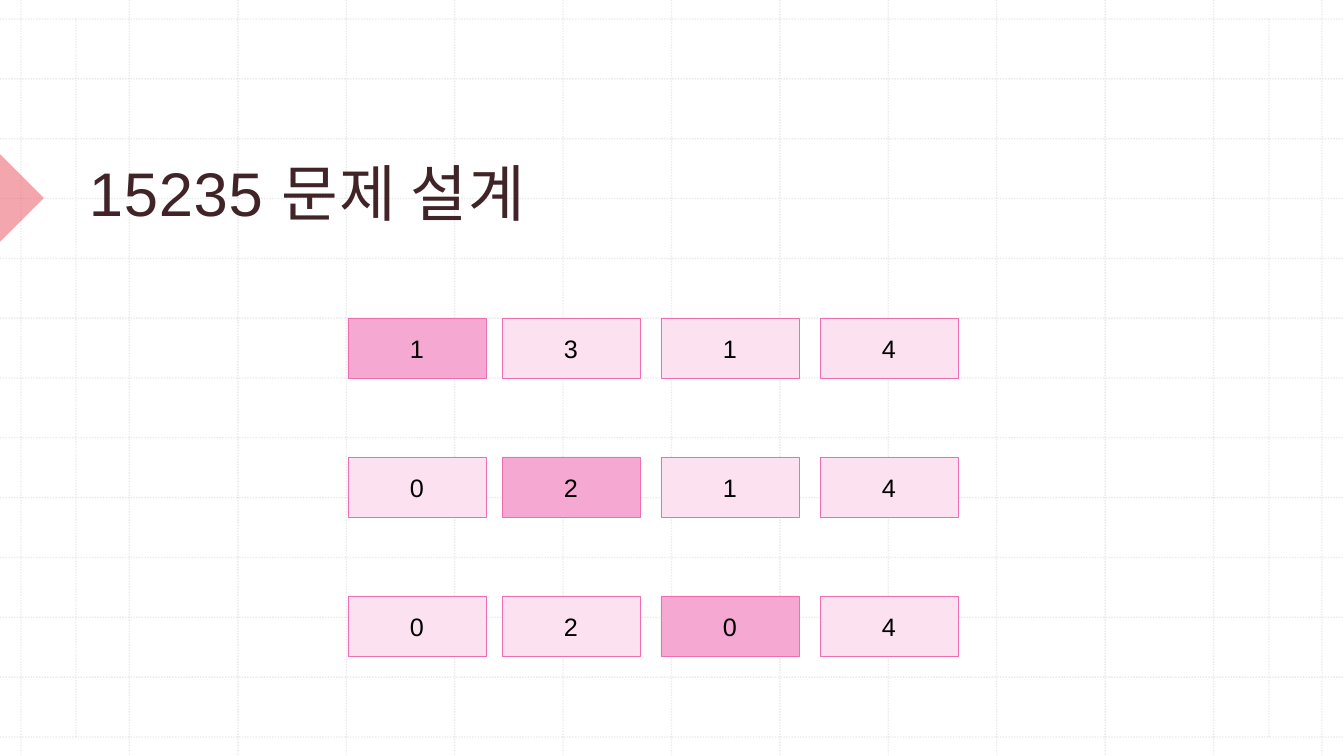
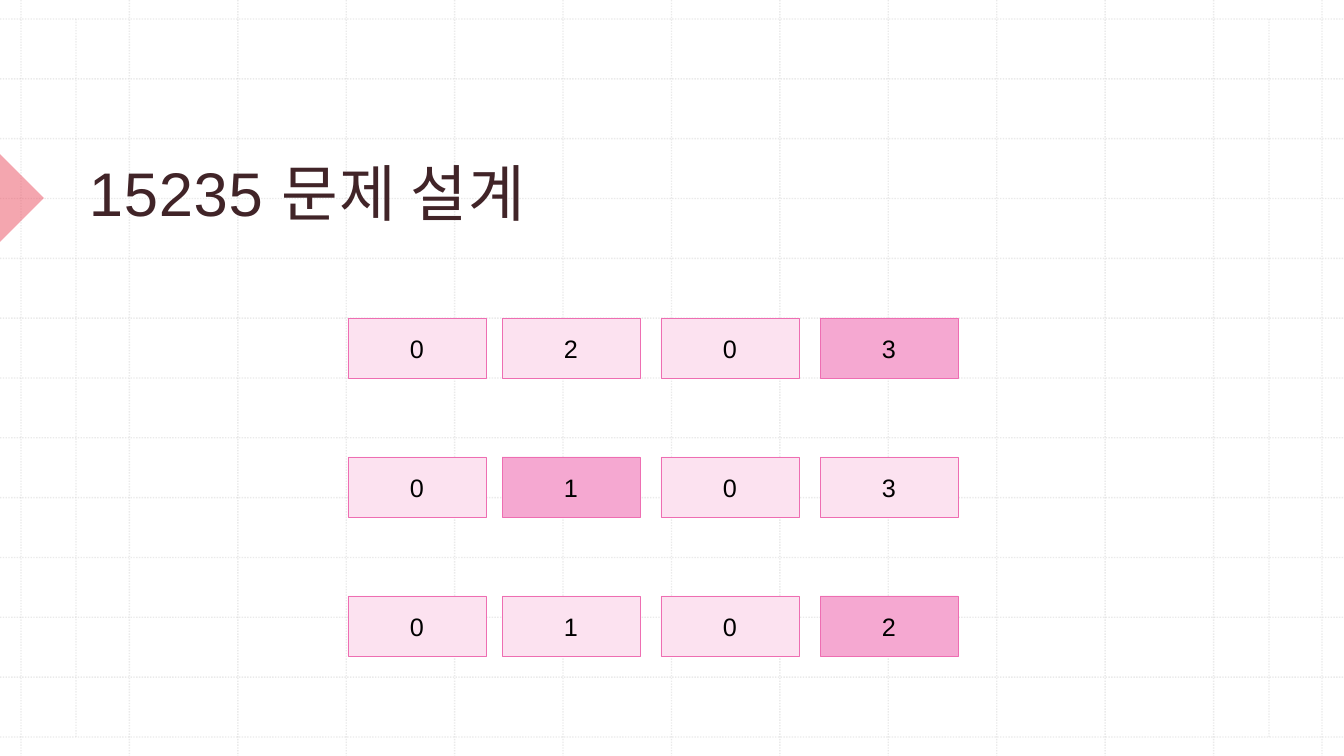
"""Build two slides that step through the design of problem 15235."""
from lxml import etree
from pptx import Presentation
from pptx import util as u
from pptx.dml.color import RGBColor
from pptx.enum import dml, shapes, text
from pptx.oxml.ns import qn

TITLE = "15235 문제 설계"
SLIDES = [
    [((1, 3, 1, 4), 0), ((0, 2, 1, 4), 1), ((0, 2, 0, 4), 2)],
    [((0, 2, 0, 3), 3), ((0, 1, 0, 3), 1), ((0, 1, 0, 2), 3)],
]

GRID = RGBColor(0xBC, 0xBC, 0xBC)
MARKER = RGBColor(0xEB, 0x4E, 0x60)
TITLE_COLOR = RGBColor(0x41, 0x24, 0x28)
CELL = RGBColor(0xFC, 0xE2, 0xF0)
ACTIVE_CELL = RGBColor(0xF5, 0xA8, 0xD1)
CELL_BORDER = RGBColor(0xEE, 0x6E, 0xB2)
BLACK = RGBColor(0, 0, 0)
FONT = "Arial"

WIDTH, HEIGHT = 1344, 756
GRID_LEFT, GRID_RIGHT, GRID_TOP, GRID_BOTTOM = 21, 1322, 19, 737
GRID_STEPS = 12
MARGIN_LINES = (76, 1269)
MARKER_BOX = (-31, 167, 62, 62)
TITLE_BOX = (77, 80, 1138, 159)
CELL_LEFTS = (348, 502, 661, 820)
CELL_TOP, ROW_PITCH = 318, 139
CELL_WIDTH, CELL_HEIGHT = 138, 60


def px(*lengths):
    return [u.Emu(round(length * u.Inches(1) / 100.8)) for length in lengths]


def set_opacity(color_parent, percent):
    color = color_parent.find(".//" + qn("a:srgbClr"))
    etree.SubElement(color, qn("a:alpha"), val=str(percent * 1000))


def add_grid_line(slide, *ends):
    connector = slide.shapes.add_connector(shapes.MSO_CONNECTOR.STRAIGHT, *px(*ends))
    connector.line.color.rgb = GRID
    connector.line.width = u.Pt(1)
    connector.line.dash_style = dml.MSO_LINE.ROUND_DOT
    properties = connector.element.spPr
    set_opacity(properties, 30)
    etree.SubElement(properties, qn("a:effectLst"))
    return connector


def add_marker(slide):
    marker = slide.shapes.add_shape(shapes.MSO_SHAPE.RIGHT_TRIANGLE, *px(*MARKER_BOX))
    marker.rotation = 225
    marker.shadow.inherit = False
    marker.fill.solid()
    marker.fill.fore_color.rgb = MARKER
    marker.line.fill.background()
    set_opacity(marker.element.spPr, 50)
    return marker


def add_background(slide):
    """Draw the shared grid and marker, then move them to the slide's layout."""
    lines = []
    for step in range(GRID_STEPS + 1):
        x = GRID_LEFT + step * (GRID_RIGHT - GRID_LEFT) / GRID_STEPS
        y = GRID_TOP + step * (GRID_BOTTOM - GRID_TOP) / GRID_STEPS
        lines += [(x, 0, x, HEIGHT), (0, y, WIDTH, y)]
    lines += [(x, GRID_TOP, x, GRID_BOTTOM) for x in MARGIN_LINES]
    decorations = [add_grid_line(slide, *ends) for ends in lines] + [add_marker(slide)]
    tree = slide.slide_layout.shapes.element
    for position, shape in enumerate(decorations, 2):
        tree.insert(position, shape.element)
    for number, properties in enumerate(tree.iter(qn("p:cNvPr")), 1):
        properties.set("id", str(number))


def add_run(paragraph, content, size, color):
    run = paragraph.add_run()
    run.text = content
    run.font.name = FONT
    run.font.size = u.Pt(size)
    run.font.color.rgb = color
    return run


def format_title(title):
    title.left, title.top, title.width, title.height = px(*TITLE_BOX)
    frame = title.text_frame
    frame.auto_size = text.MSO_AUTO_SIZE.NONE
    frame.vertical_anchor = text.MSO_ANCHOR.BOTTOM
    frame.margin_left, frame.margin_top, frame.margin_right, frame.margin_bottom = px(12, 12, 12, 10)
    paragraph = frame.paragraphs[0]
    paragraph.alignment = text.PP_ALIGN.LEFT
    paragraph.line_spacing = 1.14
    run = add_run(paragraph, TITLE, 44, TITLE_COLOR)
    run.font._element.set("spc", "50")


def add_cell(slide, left, top, value, active):
    cell = slide.shapes.add_shape(
        shapes.MSO_SHAPE.RECTANGLE, *px(left, top, CELL_WIDTH, CELL_HEIGHT))
    cell.shadow.inherit = False
    cell.fill.solid()
    cell.fill.fore_color.rgb = ACTIVE_CELL if active else CELL
    cell.line.color.rgb = CELL_BORDER
    cell.line.width = u.Pt(0.5)
    cell.text_frame.vertical_anchor = text.MSO_ANCHOR.MIDDLE
    paragraph = cell.text_frame.paragraphs[0]
    paragraph.alignment = text.PP_ALIGN.CENTER
    add_run(paragraph, str(value), 18, BLACK)


presentation = Presentation()
presentation.slide_width, presentation.slide_height = px(WIDTH, HEIGHT)
title_only = presentation.slide_layouts[5]

for index, rows in enumerate(SLIDES):
    slide = presentation.slides.add_slide(title_only)
    if index == 0:
        add_background(slide)
    format_title(slide.shapes.title)
    for row, (values, active_column) in enumerate(rows):
        for column, (left, value) in enumerate(zip(CELL_LEFTS, values)):
            add_cell(slide, left, CELL_TOP + row * ROW_PITCH, value, column == active_column)

presentation.save("out.pptx")
